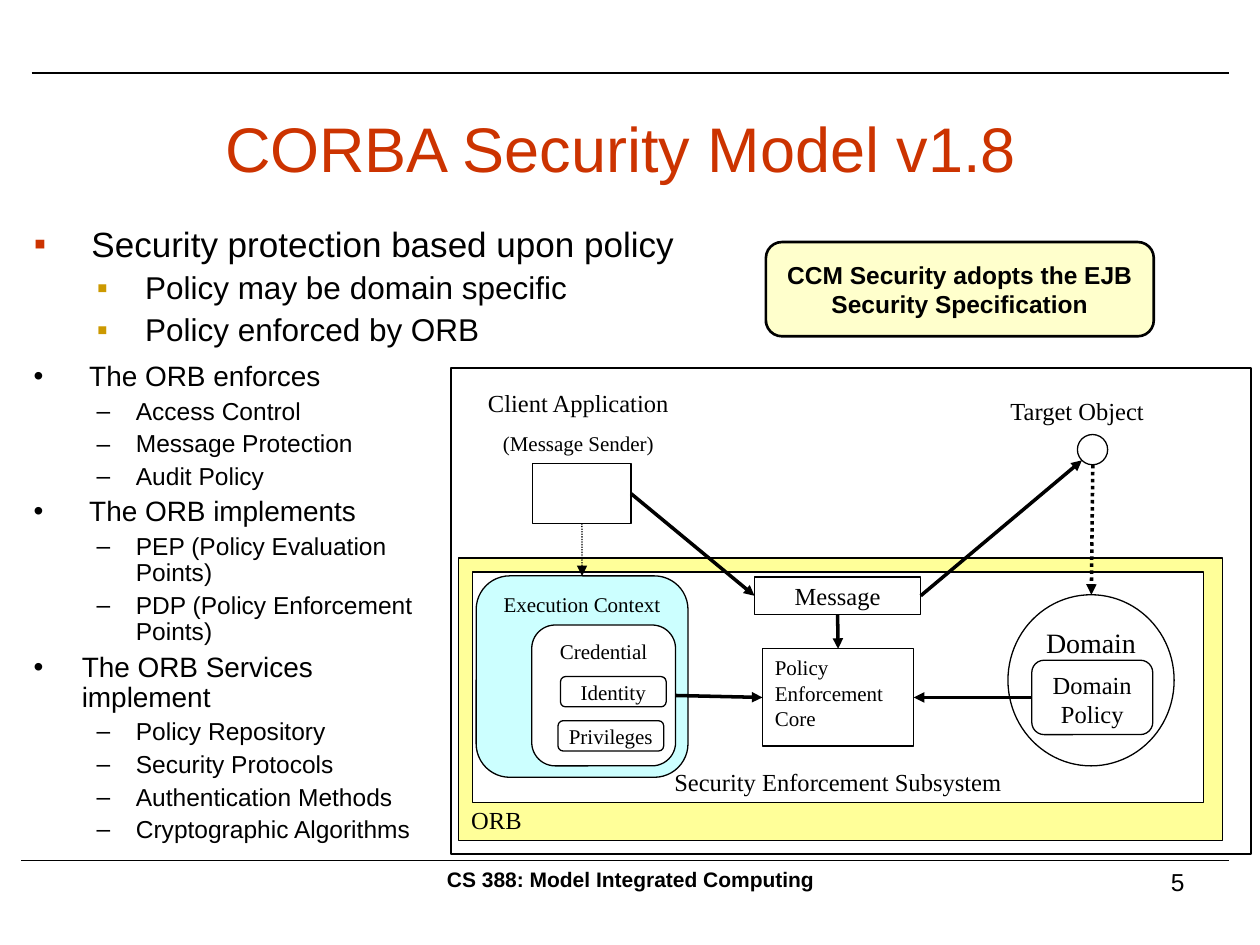
from dataclasses import dataclass
from typing import Any, Optional

from lxml.etree import SubElement
from pptx import Presentation
from pptx.dml.color import RGBColor
from pptx.enum.dml import MSO_LINE
from pptx.enum.shapes import MSO_CONNECTOR, MSO_SHAPE
from pptx.enum.text import MSO_ANCHOR, MSO_AUTO_SIZE, PP_ALIGN
from pptx.oxml.ns import qn
from pptx.util import Cm, Pt

RECT, ROUND, OVAL = MSO_SHAPE.RECTANGLE, MSO_SHAPE.ROUNDED_RECTANGLE, MSO_SHAPE.OVAL
TOP, MIDDLE, BOTTOM = MSO_ANCHOR.TOP, MSO_ANCHOR.MIDDLE, MSO_ANCHOR.BOTTOM
LEFT, CENTER, RIGHT = PP_ALIGN.LEFT, PP_ALIGN.CENTER, PP_ALIGN.RIGHT
SIDE_TOP, SIDE_LEFT, SIDE_BOTTOM, SIDE_RIGHT = range(4)


@dataclass(frozen=True)
class Theme:
    sans: str = "Arial"
    serif: str = "Times New Roman"
    ink: str = "000000"
    paper: str = "FFFFFF"
    accent: str = "CC3300"
    gold: str = "CC9900"
    yellow: str = "FFFF99"
    cream: str = "FFFFCC"
    cyan: str = "CCFFFF"
    title: int = 36
    large: int = 20
    medium: int = 18
    heading: int = 16
    normal: int = 14
    small: int = 12
    thin: float = 0.75
    border: float = 1.5
    thick: float = 2


T = Theme()


@dataclass(frozen=True)
class Node:
    name: str
    kind: MSO_SHAPE
    box: tuple
    fill: Optional[str] = T.paper
    text: str = ""
    size: int = T.normal
    anchor: MSO_ANCHOR = MIDDLE
    align: PP_ALIGN = CENTER
    wrap: bool = False
    font: str = T.serif
    bold: bool = False
    line: float = T.thin


@dataclass(frozen=True)
class Bullet:
    """List level style; margin and hang are in cm, before is in points."""
    level: int
    char: str
    color: str
    size: int
    margin: float
    hang: float
    before: float


@dataclass(frozen=True)
class Link:
    start: Any  # (node name, side) or a point in cm
    end: Any
    width: float = T.thick
    dash: Optional[MSO_LINE] = None


POLICY = Bullet(0, "▪", T.accent, T.large, 1.16, 1.16, 5)
POLICY_SUB = Bullet(1, "▪", T.gold, T.medium, 2.24, 0.97, 4.5)
ORB = Bullet(0, "•", T.ink, T.heading, 1.12, 1.12, 4)
SERVICES = Bullet(0, "•", T.ink, T.heading, 0.97, 0.97, 4)
ORB_SUB = Bullet(1, "–", T.ink, T.normal, 2.06, 0.79, 3.5)

POLICY_LIST = [
    (POLICY, ["Security protection based upon policy"]),
    (POLICY_SUB, ["Policy may be domain specific", "Policy enforced by ORB"]),
]
ORB_LIST = [
    (ORB, ["The ORB enforces"]),
    (ORB_SUB, ["Access Control", "Message Protection", "Audit Policy"]),
    (ORB, ["The ORB implements"]),
    (ORB_SUB, ["PEP (Policy Evaluation Points)", "PDP (Policy Enforcement Points)"]),
    (SERVICES, ["The ORB Services implement"]),
    (ORB_SUB, ["Policy Repository", "Security Protocols", "Authentication Methods",
               "Cryptographic Algorithms"]),
]

NODES = [
    Node("frame", RECT, (9.09, 7.42, 16.13, 9.8), None),
    Node("client", RECT, (10.74, 9.35, 1.98, 1.2)),
    Node("orb", RECT, (9.25, 11.25, 15.39, 5.69), T.yellow, "ORB",
         anchor=BOTTOM, align=LEFT),
    Node("subsystem", RECT, (9.53, 11.53, 14.73, 4.65),
         text="Security Enforcement Subsystem", anchor=BOTTOM),
    Node("context", ROUND, (9.6, 11.61, 4.27, 4.06), T.cyan, "Execution Context",
         T.small, TOP),
    Node("credential", ROUND, (10.72, 12.6, 2.9, 2.84), T.paper, "Credential",
         T.small, TOP),
    Node("identity", ROUND, (11.3, 13.64, 2.13, 0.61), T.paper, "Identity", T.small),
    Node("privileges", ROUND, (11.25, 14.53, 2.13, 0.61), T.paper, "Privileges", T.small),
    Node("message", RECT, (15.21, 11.63, 3.35, 0.76), text="Message"),
    Node("core", RECT, (15.37, 13.08, 3.05, 1.96), T.paper,
         "Policy Enforcement Core", T.small, TOP, LEFT, True),
    Node("target", OVAL, (21.72, 8.76, 0.61, 0.61)),
    Node("domain", OVAL, (20.32, 11.99, 3.35, 3.45), T.paper, "Domain", T.heading, TOP),
    Node("policy", ROUND, (20.8, 13.31, 2.44, 1.5), text="Domain Policy",
         anchor=TOP, wrap=True),
]
CALLOUT = Node("callout", MSO_SHAPE.ROUNDED_RECTANGULAR_CALLOUT, (15.44, 4.88, 7.82, 1.9),
               T.cream, "CCM Security adopts the EJB Security Specification",
               wrap=True, font=T.sans, bold=True, line=T.border)

LINKS = [
    Link(("client", SIDE_BOTTOM), ("context", SIDE_TOP), T.thin, MSO_LINE.ROUND_DOT),
    Link(("client", SIDE_RIGHT), ("message", SIDE_LEFT)),
    Link(("credential", SIDE_RIGHT), ("core", SIDE_LEFT)),
    Link(("message", SIDE_RIGHT), (21.81, 9.28)),
    Link(("message", SIDE_BOTTOM), ("core", SIDE_TOP)),
    Link(("policy", SIDE_LEFT), ("core", SIDE_RIGHT)),
    Link((22.03, 9.37), (22, 11.99), dash=MSO_LINE.ROUND_DOT),
]


def set_attrs(obj: Any, **values: Any) -> None:
    for name, value in values.items():
        setattr(obj, name, value)


def place(sp: Any, box: tuple) -> None:
    set_attrs(sp, **dict(zip(("left", "top", "width", "height"), map(Cm, box))))


def write(p: Any, text: str, size: float, font: str = T.sans, color: str = T.ink,
          bold: bool = False, align: PP_ALIGN = LEFT) -> None:
    p.alignment = align
    r = p.add_run()
    r.text = text
    set_attrs(r.font, name=font, size=Pt(size), bold=bold)
    r.font.color.rgb = RGBColor.from_string(color)


def add_text(shapes: Any, box: tuple) -> Any:
    tf = shapes.add_textbox(*map(Cm, box)).text_frame
    tf.word_wrap = True
    return tf


def fill_list(tf: Any, groups: list) -> None:
    set_attrs(tf, auto_size=MSO_AUTO_SIZE.NONE, vertical_anchor=TOP, word_wrap=True)
    items = [(b, text) for b, texts in groups for text in texts]
    for i, (b, text) in enumerate(items):
        p = tf.add_paragraph() if i else tf.paragraphs[0]
        pPr = p._p.get_or_add_pPr()
        pPr.set("marL", str(Cm(b.margin)))
        pPr.set("indent", str(-Cm(b.hang)))
        SubElement(SubElement(pPr, qn("a:buClr")), qn("a:srgbClr"), val=b.color)
        SubElement(pPr, qn("a:buFont"), typeface=T.sans)
        SubElement(pPr, qn("a:buChar"), char=b.char)
        set_attrs(p, level=b.level, line_spacing=0.9, space_before=Pt(b.before if i else 0))
        write(p, text, b.size)


def add_node(shapes: Any, n: Node) -> Any:
    sp = shapes.add_shape(n.kind, *map(Cm, n.box))
    sp.shadow.inherit = False
    if n.fill:
        sp.fill.solid()
        sp.fill.fore_color.rgb = RGBColor.from_string(n.fill)
    else:
        sp.fill.background()
    sp.line.color.rgb = RGBColor.from_string(T.ink)
    sp.line.width = Pt(n.line)
    if n.text:
        set_attrs(sp.text_frame, word_wrap=n.wrap, vertical_anchor=n.anchor)
        write(sp.text_frame.paragraphs[0], n.text, n.size, n.font, bold=n.bold, align=n.align)
    return sp


def add_line(shapes: Any, start: tuple, end: tuple, width: float = T.thin) -> Any:
    cxn = shapes.add_connector(MSO_CONNECTOR.STRAIGHT, *map(Cm, start + end))
    cxn.line.color.rgb = RGBColor.from_string(T.ink)
    cxn.line.width = Pt(width)
    SubElement(cxn._element.spPr, qn("a:effectLst"))
    return cxn


def add_link(shapes: Any, link: Link, nodes: dict) -> None:
    ends = (link.start, link.end)
    joined = [isinstance(e[0], str) for e in ends]
    points = [(0, 0) if j else e for j, e in zip(joined, ends)]
    cxn = add_line(shapes, *points, link.width)
    for j, (name, side), connect in zip(joined, ends, (cxn.begin_connect, cxn.end_connect)):
        if j:
            connect(nodes[name], side)
    if link.dash:
        cxn.line.dash_style = link.dash
    SubElement(cxn.line._get_or_add_ln(), qn("a:tailEnd"), type="triangle")


def main() -> None:
    prs = Presentation()
    set_attrs(prs, slide_width=Cm(25.4), slide_height=Cm(19.05))
    s = prs.slides.add_slide(prs.slide_layouts[1])
    title, body = s.placeholders

    place(title, (0.84, 1.7, 23.7, 2.54))
    set_attrs(title.text_frame, vertical_anchor=MIDDLE, margin_right=Cm(0.61),
              auto_size=MSO_AUTO_SIZE.NONE)
    write(title.text_frame.paragraphs[0], "CORBA Security Model v1.8", T.title,
          color=T.accent, align=CENTER)
    place(body, (0.43, 4.45, 13.54, 2.74))
    fill_list(body.text_frame, POLICY_LIST)
    fill_list(add_text(s.shapes, (0.43, 7.19, 8.46, 9.09)), ORB_LIST)

    add_line(s.shapes, (0.64, 1.47), (24.77, 1.47))
    add_line(s.shapes, (0.43, 17.35), (24.77, 17.35))
    write(add_text(s.shapes, (18.21, 17.35, 5.92, 1.32)).paragraphs[0], "5", T.normal,
          align=RIGHT)
    write(add_text(s.shapes, (8.69, 17.35, 8.05, 1.32)).paragraphs[0],
          "CS 388: Model Integrated Computing", T.small, bold=True, align=CENTER)

    diagram = s.shapes.add_group_shape().shapes
    nodes = {n.name: add_node(diagram, n) for n in NODES}
    for link in LINKS:
        add_link(diagram, link, nodes)
    tf = add_text(diagram, (9.3, 7.7, 4.72, 1.63))
    write(tf.paragraphs[0], "Client Application", T.normal, T.serif, align=CENTER)
    p = tf.add_paragraph()
    p.space_before = Pt(7.5)
    write(p, "(Message Sender)", T.small, T.serif, align=CENTER)
    tf = add_text(diagram, (20.12, 7.85, 3.33, 0.86))
    write(tf.paragraphs[0], "Target Object", T.normal, T.serif)

    callout = add_node(s.shapes, CALLOUT)
    for i, value in enumerate((-0.5, 0.36, 0.17)):
        callout.adjustments[i] = value
    prs.save("out.pptx")


if __name__ == "__main__":
    main()
